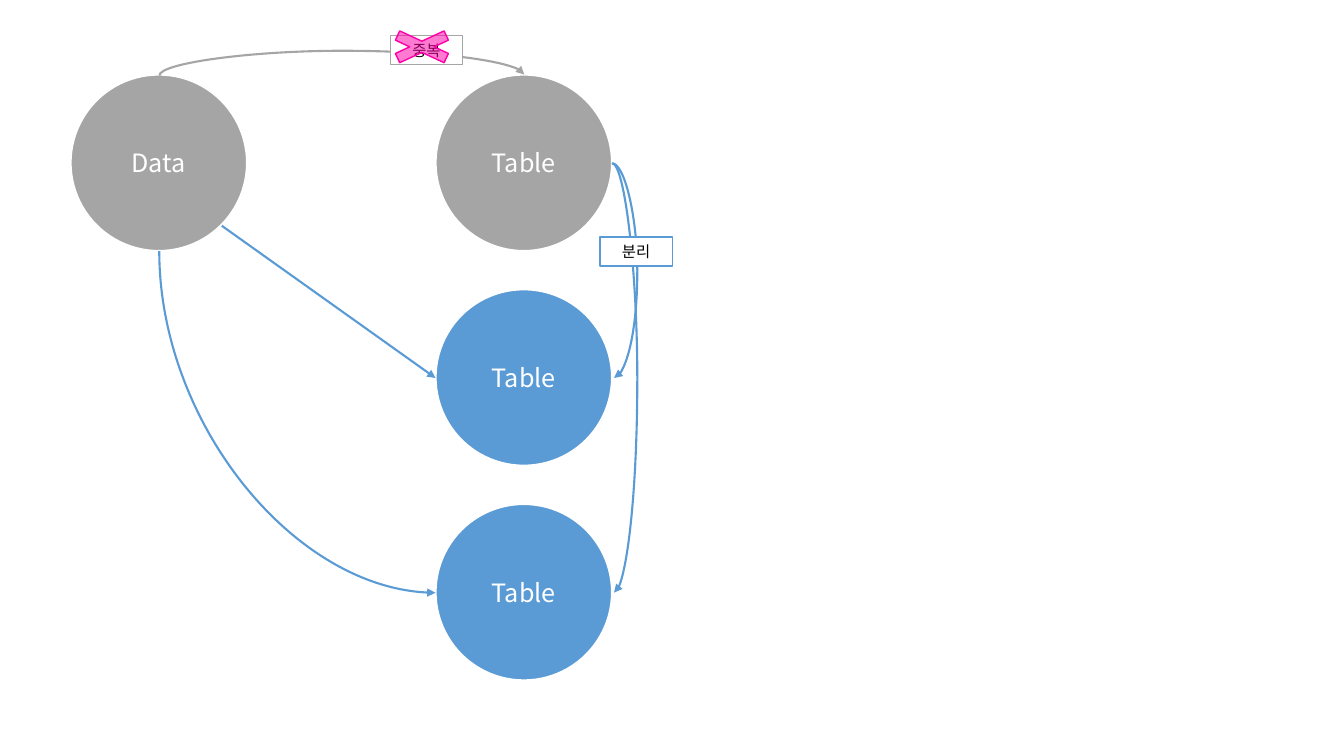
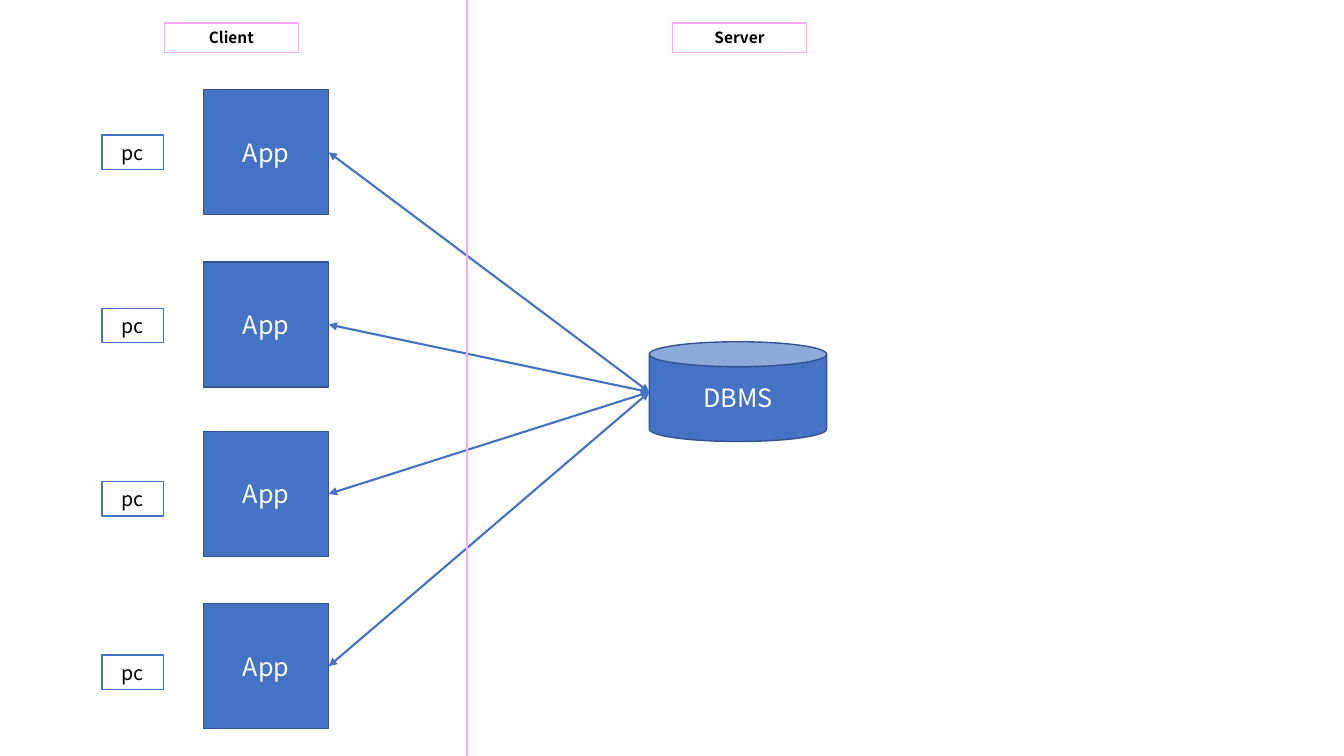
from dataclasses import dataclass

from lxml.etree import SubElement
from pptx import Presentation
from pptx.dml.color import RGBColor
from pptx.enum.shapes import MSO_CONNECTOR, MSO_SHAPE
from pptx.enum.text import MSO_ANCHOR, PP_ALIGN
from pptx.oxml.ns import qn
from pptx.util import Inches, Pt


@dataclass(frozen=True)
class Theme:
    font: str = "Noto Sans CJK KR"
    white: str = "FFFFFF"
    black: str = "000000"
    gray: str = "A5A5A5"
    light_blue: str = "5B9BD5"
    blue: str = "4472C4"
    dark_blue: str = "325491"
    pink: str = "FDA9F7"
    magenta: str = "FF00A8"
    node_size: int = 18
    device_size: int = 14
    label_size: int = 11
    thin: float = 1
    thick: float = 1.5


THEME = Theme()
CIRCLE_TOP, CIRCLE_LEFT, CIRCLE_BOTTOM_RIGHT = 0, 2, 5
CIRCLE_BOTTOM, CIRCLE_RIGHT = 4, 6
CAN_LEFT = 2
RECTANGLE_RIGHT = 3


def add_box(slide, kind, box, fill, line, width=THEME.thin):
    shape = slide.shapes.add_shape(kind, *map(Inches, box))
    shape.shadow.inherit = False
    shape.fill.solid()
    shape.fill.fore_color.rgb = RGBColor.from_string(fill)
    shape.line.color.rgb = RGBColor.from_string(line)
    shape.line.width = Pt(width)
    return shape


def write(shape, text, size, color, bold=False):
    frame = shape.text_frame
    frame.word_wrap = True
    frame.vertical_anchor = MSO_ANCHOR.MIDDLE
    paragraph = frame.paragraphs[0]
    paragraph.text = text
    paragraph.alignment = PP_ALIGN.CENTER
    font = paragraph.font
    font.name = THEME.font
    font.size = Pt(size)
    font.bold = bold
    font.color.rgb = RGBColor.from_string(color)


def add_circle(slide, text, left, top, fill):
    circle = add_box(slide, MSO_SHAPE.OVAL, (left, top, 1.75, 1.75), fill, THEME.white, THEME.thick)
    write(circle, text, THEME.node_size, THEME.white)
    return circle


def add_node(slide, kind, text, box):
    node = add_box(slide, kind, box, THEME.blue, THEME.dark_blue)
    write(node, text, THEME.node_size, THEME.white)
    return node


def add_label(slide, text, box, line, size=THEME.label_size, bold=False):
    label = add_box(slide, MSO_SHAPE.RECTANGLE, box, THEME.white, line)
    write(label, text, size, THEME.black, bold)


def style_connector(connector, color, ends):
    connector.line.color.rgb = RGBColor.from_string(color)
    connector.line.width = Pt(THEME.thick)
    properties = connector._element.spPr
    line = properties.find(qn("a:ln"))
    for end in ends:
        SubElement(line, qn(f"a:{end}"), type="triangle")
    SubElement(properties, qn("a:effectLst"))


def glue(connector, end, shape, site):
    links = next(connector._element.iter(qn("p:cNvCxnSpPr")))
    SubElement(links, qn(f"a:{end}"), id=str(shape.shape_id), idx=str(site))


def add_line(slide, start, end, color, ends=()):
    connector = slide.shapes.add_connector(MSO_CONNECTOR.STRAIGHT, *map(Inches, start + end))
    style_connector(connector, color, ends)
    return connector


def add_curve(slide, start, end, color, preset, rotation=0, flips=(), bulge=None):
    width, height = abs(end[0] - start[0]), abs(end[1] - start[1])
    if rotation in (90, 270):
        width, height = height, width
    left = (start[0] + end[0] - width) / 2
    top = (start[1] + end[1] - height) / 2
    corners = (left, top, left + width, top + height)
    connector = slide.shapes.add_connector(MSO_CONNECTOR.CURVE, *map(Inches, corners))
    properties = connector._element.spPr
    transform = properties.find(qn("a:xfrm"))
    transform.set("rot", str(rotation * 60000))
    for flip in flips:
        transform.set(flip, "1")
    geometry = properties.find(qn("a:prstGeom"))
    geometry.set("prst", preset)
    if bulge:
        adjustments = geometry.find(qn("a:avLst"))
        if adjustments is None:
            adjustments = SubElement(geometry, qn("a:avLst"))
        value = round(bulge / width * 100000)
        SubElement(adjustments, qn("a:gd"), name="adj1", fmla=f"val {value}")
    style_connector(connector, color, ["tailEnd"])
    return connector


def add_cross(slide, box):
    cross = add_box(slide, MSO_SHAPE.MATH_MULTIPLY, box, THEME.magenta, THEME.magenta)
    color = next(cross._element.spPr.find(qn("a:solidFill")).iter(qn("a:srgbClr")))
    SubElement(color, qn("a:alpha"), val="52000")


def build_table_split(slide):
    data = add_circle(slide, "Data", 0.7, 0.74, THEME.gray)
    fills = (THEME.gray, THEME.light_blue, THEME.light_blue)
    source, first, second = [
        add_circle(slide, "Table", 4.32, 0.74 + 2.13 * row, fill) for row, fill in enumerate(fills)
    ]

    duplicate = add_curve(slide, (1.58, 0.75), (5.2, 0.74), THEME.gray, "curvedConnector3",
                          90, ("flipH", "flipV"), 0.25)
    glue(duplicate, "stCxn", data, CIRCLE_TOP)
    glue(duplicate, "endCxn", source, CIRCLE_TOP)
    add_label(slide, "중복", (3.87, 0.35, 0.72, 0.29), THEME.gray)
    add_cross(slide, (3.72, 0.25, 0.93, 0.43))

    to_first = add_line(slide, (2.2, 2.24), (4.32, 3.75), THEME.light_blue, ["tailEnd"])
    glue(to_first, "stCxn", data, CIRCLE_BOTTOM_RIGHT)
    glue(to_first, "endCxn", first, CIRCLE_LEFT)
    to_second = add_curve(slide, (1.58, 2.49), (4.32, 5.88), THEME.light_blue,
                          "curvedConnector2", 270, ("flipH",))
    glue(to_second, "stCxn", data, CIRCLE_BOTTOM)
    glue(to_second, "endCxn", second, CIRCLE_LEFT)

    for table, middle in ((first, 3.75), (second, 5.88)):
        split = add_curve(slide, (6.07, 1.62), (6.09, middle), THEME.light_blue,
                          "curvedConnector3", bulge=0.25)
        glue(split, "stCxn", source, CIRCLE_RIGHT)
        glue(split, "endCxn", table, CIRCLE_RIGHT)
    add_label(slide, "분리", (5.95, 2.35, 0.72, 0.29), THEME.light_blue)


def build_client_server(slide):
    side = 1.24
    app_left = 2.02
    database = add_node(slide, MSO_SHAPE.CAN, "DBMS", (6.44, 3.39, 1.76, 0.99))
    for row, top in enumerate((0.89, 2.6, 4.28, 5.99)):
        app = add_node(slide, MSO_SHAPE.RECTANGLE, "App", (app_left, top, side, side))
        add_label(slide, "pc", (1.01, 1.34 + 1.72 * row, 0.61, 0.34), THEME.blue, THEME.device_size)
        link = add_line(slide, (app_left + side, top + side / 2), (6.44, 3.89),
                        THEME.blue, ["headEnd", "tailEnd"])
        link.begin_connect(app, RECTANGLE_RIGHT)
        glue(link, "endCxn", database, CAN_LEFT)
    add_line(slide, (4.63, 0), (4.63, 7.5), THEME.pink)
    for text, left in (("Client", 1.63), ("Server", 6.67)):
        add_label(slide, text, (left, 0.23, 1.33, 0.29), THEME.pink, bold=True)


def main():
    presentation = Presentation()
    presentation.slide_width = Inches(13.33)
    presentation.slide_height = Inches(7.5)
    blank = presentation.slide_layouts[6]
    for build in (build_table_split, build_client_server):
        build(presentation.slides.add_slide(blank))
    presentation.save("out.pptx")


if __name__ == "__main__":
    main()
